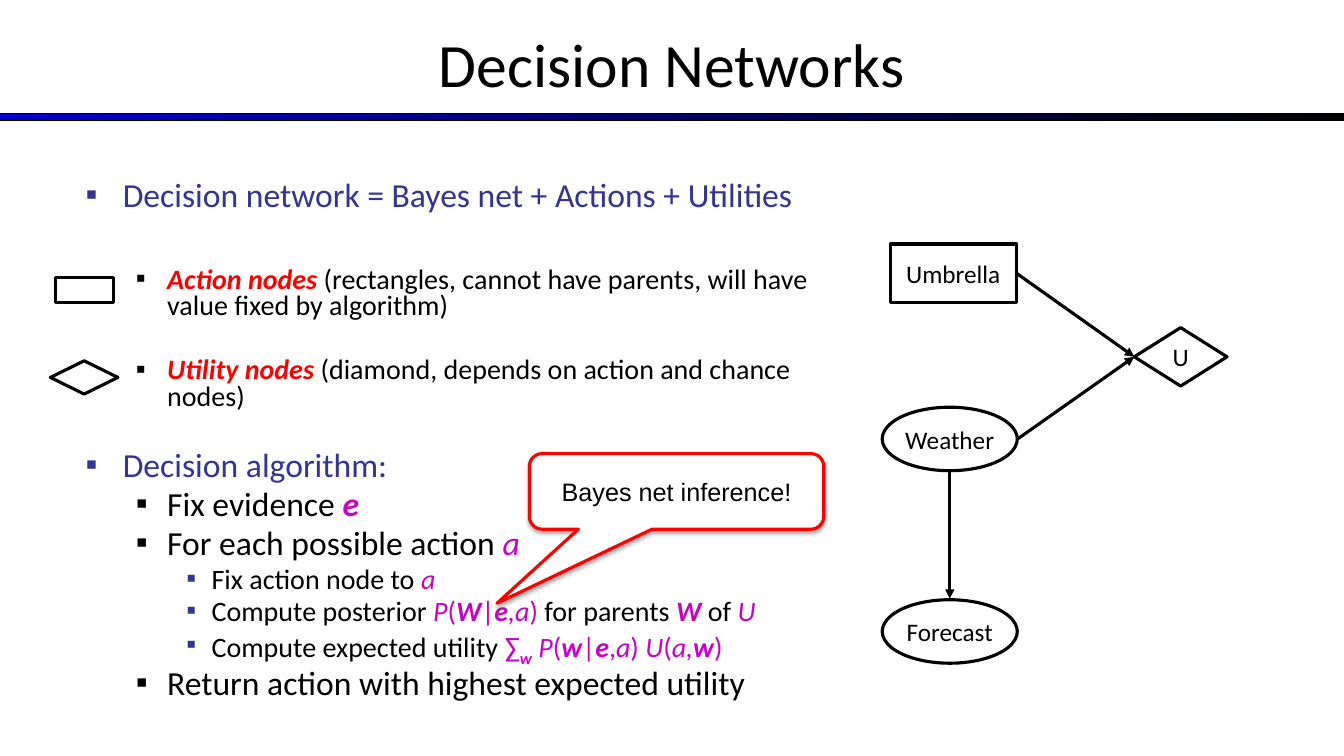
import pptx
import pptx.util
import pptx.dml.color
import pptx.enum.shapes
import pptx.enum.text
import pptx.oxml
import pptx.oxml.ns
from lxml import etree

Inches, Pt = pptx.util.Inches, pptx.util.Pt
RGBColor = pptx.dml.color.RGBColor
SHAPE = pptx.enum.shapes.MSO_SHAPE
ALIGN = pptx.enum.text.PP_ALIGN
ANCHOR = pptx.enum.text.MSO_ANCHOR

BLACK = RGBColor(0x00, 0x00, 0x00)
WHITE = RGBColor(0xFF, 0xFF, 0xFF)
BLUE = RGBColor(0x00, 0x00, 0xCC)
INDIGO = RGBColor(0x33, 0x33, 0x99)
RED = RGBColor(0xFF, 0x00, 0x00)
PURPLE = RGBColor(0xC5, 0x05, 0xBF)
MAGENTA = RGBColor(0xCC, 0x00, 0xCC)

# Content: level, size, space before, runs (text, colour, style letters)
# Styles: b bold, i italic, s subscript
TITLE = "Decision Networks"
OUTLINE = [
    (0, 24, 0, [("Decision network = Bayes net + Actions + Utilities", INDIGO, "")]),
    (1, 20, 38.5, [("Action nodes ", RED, "bi"),
                   ("(rectangles, cannot have parents, will have value fixed by algorithm)", BLACK, "")]),
    (1, 20, 26.5, [("Utility nodes ", RED, "bi"),
                   ("(diamond, depends on action and chance nodes)", BLACK, "")]),
    (0, 24, 28.3, [("Decision algorithm:", INDIGO, "")]),
    (1, 24, 4.8, [("Fix evidence ", BLACK, ""), ("e", PURPLE, "bi")]),
    (1, 24, 4.8, [("For each possible action ", BLACK, ""), ("a", PURPLE, "i")]),
    (2, 20, 4, [("Fix action node to ", BLACK, ""), ("a", PURPLE, "i")]),
    (2, 20, 4, [("Compute posterior ", BLACK, ""), ("P", PURPLE, "i"), ("(", PURPLE, ""),
                ("W", PURPLE, "bi"), ("|", PURPLE, ""), ("e", PURPLE, "bi"),
                (",a", PURPLE, "i"), (")", PURPLE, ""), (" for parents ", BLACK, ""),
                ("W", PURPLE, "bi"), (" of ", BLACK, ""), ("U", PURPLE, "i")]),
    (2, 20, 4, [("Compute expected utility ", BLACK, ""), ("∑", MAGENTA, ""),
                ("w", MAGENTA, "bis"), (" P", MAGENTA, "i"), ("(", MAGENTA, ""),
                ("w", MAGENTA, "bi"), ("|", MAGENTA, ""), ("e", MAGENTA, "bi"),
                (",", MAGENTA, ""), ("a", MAGENTA, "i"), (") ", MAGENTA, ""),
                ("U", MAGENTA, "i"), ("(", MAGENTA, ""), ("a,", MAGENTA, "i"),
                ("w", MAGENTA, "bi"), (")", MAGENTA, "")]),
    (1, 24, 4.8, [("Return action with highest expected utility", BLACK, "")]),
]
# Level: left margin, hanging indent, bullet colour
LEVELS = [(0.37, 0.37, INDIGO), (0.81, 0.31, BLACK), (1.25, 0.25, INDIGO)]

# Network nodes: label, preset, left, top, width, height
NODES = [
    ("Umbrella", SHAPE.RECTANGLE, 8.83, 2.42, 1.25, 0.58),
    ("Weather", SHAPE.OVAL, 8.75, 4.04, 1.34, 0.63),
    ("Forecast", SHAPE.OVAL, 8.75, 5.95, 1.34, 0.63),
    ("U", SHAPE.DIAMOND, 11.25, 3.25, 0.92, 0.58),
]
LEGEND = [
    (SHAPE.RECTANGLE, 0.55, 2.75, 0.58, 0.25),
    (SHAPE.DIAMOND, 0.5, 3.58, 0.67, 0.33),
]
CALLOUT = "Bayes net inference!"

presentation = pptx.Presentation()
presentation.slide_width, presentation.slide_height = Inches(13.33), Inches(7.5)
slide = presentation.slides.add_slide(presentation.slide_layouts[6])
shapes = slide.shapes


def add_outlined(preset, left, top, width, height, color=BLACK, weight=2.25):
    shape = shapes.add_shape(preset, Inches(left), Inches(top), Inches(width), Inches(height))
    shape.shadow.inherit = False
    shape.fill.solid()
    shape.fill.fore_color.rgb = WHITE
    shape.line.color.rgb = color
    shape.line.width = Pt(weight)
    return shape


def write_centred(shape, text, size, font_name="Calibri", wrap=False):
    frame = shape.text_frame
    frame.word_wrap = wrap
    frame.vertical_anchor = ANCHOR.MIDDLE
    paragraph = frame.paragraphs[0]
    paragraph.text = text
    paragraph.alignment = ALIGN.CENTER
    paragraph.font.name = font_name
    paragraph.font.size = Pt(size)
    paragraph.font.color.rgb = BLACK


def add_arrow(start, end):
    arrow = shapes.add_connector(pptx.enum.shapes.MSO_CONNECTOR.STRAIGHT,
                                 *(Inches(value) for value in start + end))
    arrow.line.color.rgb = BLACK
    arrow.line.width = Pt(2.25)
    properties = arrow._element.spPr
    etree.SubElement(properties.find(pptx.oxml.ns.qn("a:ln")),
                     pptx.oxml.ns.qn("a:tailEnd"), type="triangle")
    etree.SubElement(properties, pptx.oxml.ns.qn("a:effectLst"))
    return arrow


def set_bullet(paragraph, margin, hanging, color):
    properties = paragraph._p.get_or_add_pPr()
    properties.set("marL", str(Inches(margin)))
    properties.set("indent", str(-Inches(hanging)))
    bullet_color = etree.SubElement(properties, pptx.oxml.ns.qn("a:buClr"))
    etree.SubElement(bullet_color, pptx.oxml.ns.qn("a:srgbClr"), val=str(color))
    etree.SubElement(properties, pptx.oxml.ns.qn("a:buFont"), typeface="Arial")
    etree.SubElement(properties, pptx.oxml.ns.qn("a:buChar"), char="▪")


# Title and gradient rule
rule = add_outlined(SHAPE.RECTANGLE, 0, 1.13, 13.33, 0.07, weight=0.75)
rule.fill.gradient()
rule.fill.gradient_angle = 0
for stop, color, position in zip(rule.fill.gradient_stops, (BLUE, BLACK), (0, 1)):
    stop.color.rgb = color
    stop.position = position
title = shapes.add_textbox(0, 0, Inches(13.33), Inches(1.25))
write_centred(title, TITLE, 44, wrap=True)

# Network
nodes = {}
for label, preset, left, top, width, height in NODES:
    node = add_outlined(preset, left, top, width, height)
    write_centred(node, label, 18)
    nodes[label] = node
to_utility = add_arrow((10.08, 2.71), (11.25, 3.54))
to_utility.begin_connect(nodes["Umbrella"], 3)
to_utility.end_connect(nodes["U"], 1)
add_arrow((10.1, 4.35), (11.25, 3.54)).end_connect(nodes["U"], 1)
add_arrow((9.42, 4.68), (9.42, 5.94))

# Node symbols beside the outline
for symbol in LEGEND:
    add_outlined(*symbol)

# Outline text
outline = shapes.add_textbox(Inches(0.75), Inches(1.75), Inches(7.92), Inches(4.78)).text_frame
outline.word_wrap = True
for index, (level, size, space, runs) in enumerate(OUTLINE):
    paragraph = outline.add_paragraph() if index else outline.paragraphs[0]
    paragraph.level = level
    paragraph.line_spacing = 0.8
    paragraph.space_before = Pt(space)
    set_bullet(paragraph, *LEVELS[level])
    paragraph.font.name = "Calibri"
    paragraph.font.size = Pt(size)
    for text, color, style in runs:
        run = paragraph.add_run()
        run.text = text
        run.font.color.rgb = color
        if "b" in style:
            run.font.bold = True
        if "i" in style:
            run.font.italic = True
        if "s" in style:
            run.font._element.set("baseline", "-25000")

# Callout with a soft shadow
callout = add_outlined(SHAPE.ROUNDED_RECTANGULAR_CALLOUT, 5.25, 4.5, 2.92, 0.75, RED)
for index, value in enumerate((-0.61, 1.48, 0.17)):
    callout.adjustments[index] = value
write_centred(callout, CALLOUT, 18, "Arial", wrap=True)
effects = callout._element.spPr.find(pptx.oxml.ns.qn("a:effectLst"))
shadow = etree.SubElement(effects, pptx.oxml.ns.qn("a:outerShdw"), blurRad=str(Pt(3.1)),
                          dist=str(Pt(1.8)), dir="5400000", rotWithShape="0")
shadow_color = etree.SubElement(shadow, pptx.oxml.ns.qn("a:srgbClr"), val=str(BLACK))
etree.SubElement(shadow_color, pptx.oxml.ns.qn("a:alpha"), val="35000")

presentation.save("out.pptx")
